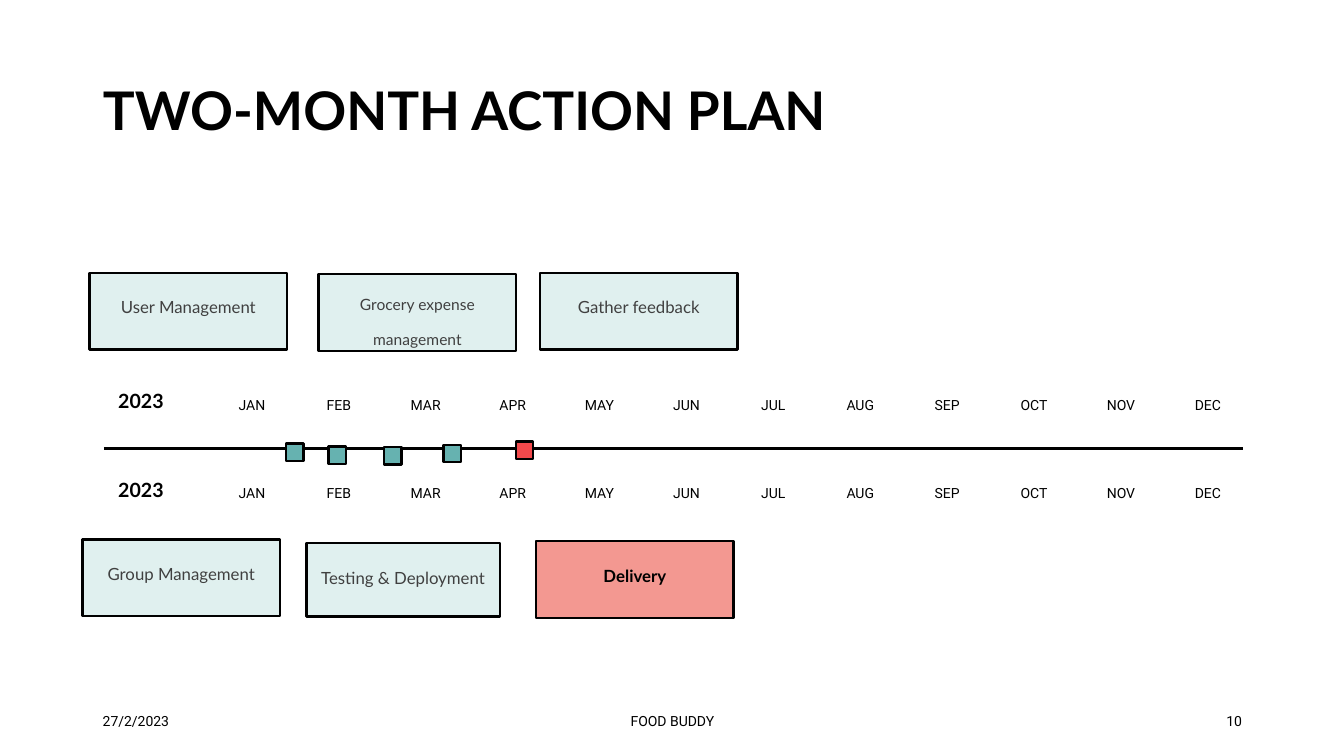
from pptx import Presentation
from pptx.dml.color import RGBColor as RGB
from pptx.enum.shapes import MSO_CONNECTOR as LINK, MSO_SHAPE as SHAPE
from pptx.enum.text import MSO_ANCHOR as ANCHOR, MSO_AUTO_SIZE as FIT, PP_ALIGN as ALIGN
from pptx.oxml.ns import qn
from pptx.util import Cm, Pt
from lxml.etree import SubElement

BLACK = RGB(0x00, 0x00, 0x00)
GREY = RGB(0x40, 0x40, 0x40)
PALE = RGB(0xE0, 0xF0, 0xEF)
TEAL = RGB(0x66, 0xB2, 0xB0)
RED = RGB(0xF2, 0x49, 0x4C)
PINK = RGB(0xF3, 0x98, 0x91)

MONTHS = "JAN FEB MAR APR MAY JUN JUL AUG SEP OCT NOV DEC".split()
STEP = 2.19
CARDS = [
    ("User Management", 2.26, 6.88),
    ("Gather feedback", 13.61, 6.88),
    ("Group Management", 2.08, 13.59),
]
MARKS = [
    (7.21, 11.18, TEAL),
    (8.28, 11.25, TEAL),
    (9.68, 11.27, TEAL),
    (11.18, 11.21, TEAL),
    (13, 11.13, RED),
]


class Plan:
    head = "Lato"
    body = "Roboto"

    def __init__(self, slide):
        self.slide = slide
        self.shapes = slide.shapes

    def text(self, frame, words, size, font, color=BLACK, bold=False,
             align=ALIGN.LEFT, lead=1.0, gap=0, anchor=ANCHOR.TOP):
        frame.word_wrap = True
        frame.auto_size = FIT.NONE
        frame.vertical_anchor = anchor
        para = frame.paragraphs[0]
        para.alignment = align
        para.line_spacing = lead
        para.space_before = Pt(gap)
        run = para.add_run()
        run.text = words
        run.font.size = Pt(size)
        run.font.name = font
        run.font.bold = bold
        run.font.color.rgb = color

    def title(self, words):
        box = self.shapes.title
        box.left, box.top, box.width, box.height = Cm(2.34), Cm(1.02), Cm(29.21), Cm(3.68)
        self.text(box.text_frame, words, 38, self.head, bold=True, lead=0.9,
                  anchor=ANCHOR.MIDDLE)

    def line(self, left, right, y):
        line = self.shapes.add_connector(LINK.STRAIGHT, Cm(left), Cm(y), Cm(right), Cm(y))
        line.line.color.rgb = BLACK
        line.line.width = Pt(2)
        SubElement(line._element.spPr, qn("a:effectLst"))

    def label(self, words, x, y, wide, high, size, font, **style):
        box = self.shapes.add_textbox(Cm(x), Cm(y), Cm(wide), Cm(high))
        self.text(box.text_frame, words, size, font, **style)

    def months(self, year_y, month_y):
        style = dict(align=ALIGN.CENTER, lead=0.9, gap=10)
        self.label("2023", 2.54, year_y, 2.03, 1.27, 14, self.head,
                   bold=True, anchor=ANCHOR.MIDDLE, **style)
        for i, month in enumerate(MONTHS):
            self.label(month, 5.46 + i * STEP, month_y, 1.78, 0.76, 10, self.body, **style)

    def rect(self, x, y, wide, high, fill):
        box = self.shapes.add_shape(SHAPE.RECTANGLE, Cm(x), Cm(y), Cm(wide), Cm(high))
        box.shadow.inherit = False
        box.fill.solid()
        box.fill.fore_color.rgb = fill
        box.line.color.rgb = BLACK
        box.line.width = Pt(1.75)
        return box

    def card(self, words, x, y, wide=4.98, high=1.93, fill=PALE, size=12,
             color=GREY, bold=False, lead=2.0):
        frame = self.rect(x, y, wide, high, fill).text_frame
        frame.margin_left = frame.margin_right = Cm(0.25)
        frame.margin_top, frame.margin_bottom = Cm(0.1), Cm(0.13)
        self.text(frame, words, size, self.head, color, bold, ALIGN.CENTER, lead, 10)

    def foot(self, words, x, wide, align):
        self.label(words, x, 17.65, wide, 1.02, 10, self.body, align=align,
                   anchor=ANCHOR.MIDDLE)


def main():
    deck = Presentation()
    deck.slide_width, deck.slide_height = Cm(33.87), Cm(19.05)
    plan = Plan(deck.slides.add_slide(deck.slide_layouts[5]))

    plan.line(2.62, 31.32, 11.3)
    plan.title("TWO-MONTH ACTION PLAN")
    for words, x, y in CARDS:
        plan.card(words, x, y)
    plan.card("Grocery expense management", 8.03, 6.91, size=11.1, lead=1.9)
    plan.card("Testing & Deployment", 7.72, 13.69, 4.88, 1.85)
    plan.card("Delivery", 13.51, 13.64, fill=PINK, color=BLACK, bold=True)

    plan.months(9.5, 9.91)
    plan.months(11.73, 12.12)
    for x, y, fill in MARKS:
        plan.rect(x, y, 0.44, 0.44, fill)

    plan.foot("27/2/2023", 2.34, 7.62, ALIGN.LEFT)
    plan.foot("FOOD BUDDY", 11.23, 11.43, ALIGN.CENTER)
    plan.foot("10", 23.93, 7.62, ALIGN.RIGHT)
    deck.save("out.pptx")


if __name__ == "__main__":
    main()
